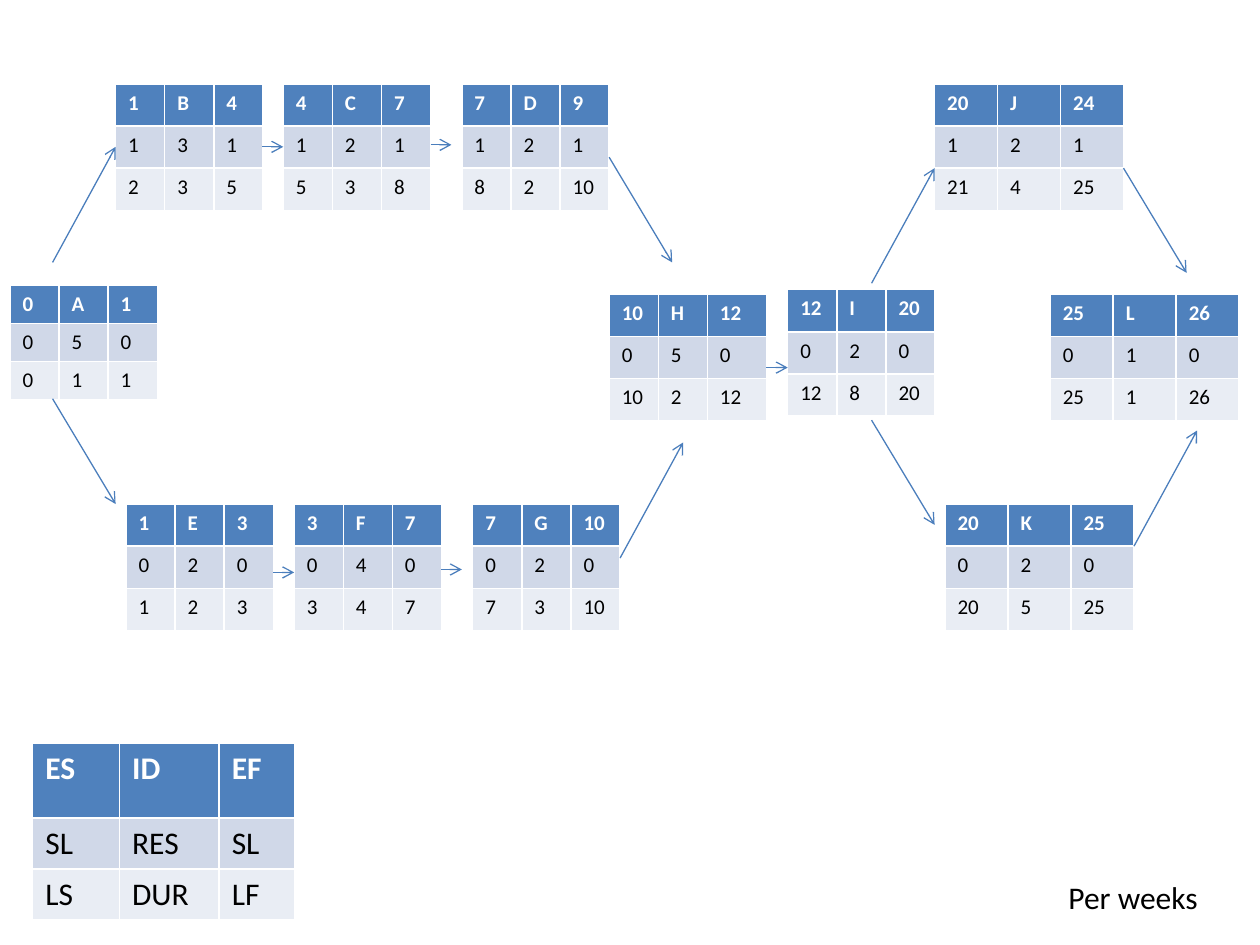
import pptx
import pptx.dml.color
import pptx.enum.shapes
import pptx.enum.text
import pptx.oxml.ns
import pptx.util
from lxml import etree

Cm = pptx.util.Cm
Pt = pptx.util.Pt
RGBColor = pptx.dml.color.RGBColor

WHITE = RGBColor(0xFF, 0xFF, 0xFF)
BLACK = RGBColor(0x00, 0x00, 0x00)
HEADER = RGBColor(0x4F, 0x81, 0xBD)
BAND = RGBColor(0xD0, 0xD8, 0xE8)
PALE = RGBColor(0xE9, 0xED, 0xF4)
ARROW = RGBColor(0x4B, 0x7E, 0xBC)
ROW_FILLS = [HEADER, BAND, PALE]

NARROW = [0.99, 0.99, 0.99]
MIXED = [0.99, 0.99, 1.19]
WIDE = [1.27, 1.27, 1.27]
LEGEND = [1.75, 2.01, 1.52]
LOW_ROWS = [0.76, 0.76, 0.76]
ROWS = [0.85, 0.85, 0.85]
LEGEND_ROWS = [1.5, 1.02, 1.02]
TOP, MIDDLE, BOTTOM = 1.69, 5.93, 10.16

activities = [
    (0.2, 5.75, NARROW, LOW_ROWS, 12, ["0 A 1", "0 5 0", "0 1 1"]),
    (2.33, TOP, NARROW, ROWS, 12, ["1 B 4", "1 3 1", "2 3 5"]),
    (2.54, BOTTOM, NARROW, ROWS, 12, ["1 E 3", "0 2 0", "1 2 3"]),
    (5.71, TOP, NARROW, ROWS, 12, ["4 C 7", "1 2 1", "5 3 8"]),
    (5.93, BOTTOM, NARROW, ROWS, 12, ["3 F 7", "0 4 0", "3 4 7"]),
    (9.31, TOP, NARROW, ROWS, 12, ["7 D 9", "1 2 1", "8 2 10"]),
    (9.53, BOTTOM, NARROW, ROWS, 12, ["7 G 10", "0 2 0", "7 3 10"]),
    (12.28, MIDDLE, MIXED, ROWS, 12, ["10 H 12", "0 5 0", "10 2 12"]),
    (15.88, 5.84, NARROW, ROWS, 12, ["12 I 20", "0 2 0", "12 8 20"]),
    (18.84, TOP, WIDE, ROWS, 12, ["20 J 24", "1 2 1", "21 4 25"]),
    (19.05, BOTTOM, WIDE, ROWS, 12, ["20 K 25", "0 2 0", "20 5 25"]),
    (21.17, MIDDLE, WIDE, ROWS, 12, ["25 L 26", "0 1 0", "25 1 26"]),
    (0.66, 14.99, LEGEND, LEGEND_ROWS, 18, ["ES ID EF", "SL RES SL", "LS DUR LF"]),
]

arrows = [
    (1.06, 5.29, 2.33, 2.96),
    (1.06, 8.04, 2.33, 10.16),
    (17.57, 5.71, 18.84, 3.39),
    (17.57, 8.47, 18.84, 10.58),
    (22.86, 11.01, 24.13, 8.68),
    (22.65, 3.39, 23.92, 5.5),
    (15.45, 7.41, 15.88, 7.41),
    (12.5, 11.25, 13.77, 8.92),
    (12.28, 3.17, 13.55, 5.29),
    (8.89, 11.48, 9.31, 11.48),
    (5.51, 11.54, 5.93, 11.54),
    (8.68, 2.92, 9.1, 2.92),
    (5.29, 2.96, 5.71, 2.96),
]


def style_font(font, size, color, bold=False):
    font.name = "Calibri"
    font.size = Pt(size)
    font.bold = bold
    font.color.rgb = color


deck = pptx.Presentation()
deck.slide_width = Cm(25.4)
deck.slide_height = Cm(19.05)
page = deck.slides.add_slide(deck.slide_layouts[6])

for left, top, widths, heights, size, lines in activities:
    frame = page.shapes.add_table(
        3, 3, Cm(left), Cm(top), Cm(sum(widths)), Cm(sum(heights)))
    table = frame.table
    for column, width in zip(table.columns, widths):
        column.width = Cm(width)
    for row, height, line, fill in zip(table.rows, heights, lines, ROW_FILLS):
        row.height = Cm(height)
        is_header = fill == HEADER
        for cell, value in zip(row.cells, line.split()):
            cell.fill.solid()
            cell.fill.fore_color.rgb = fill
            cell.text = value
            para = cell.text_frame.paragraphs[0]
            style_font(para.font, size, WHITE if is_header else BLACK, is_header)

for start_x, start_y, end_x, end_y in arrows:
    arrow = page.shapes.add_connector(
        pptx.enum.shapes.MSO_CONNECTOR.STRAIGHT,
        Cm(start_x), Cm(start_y), Cm(end_x), Cm(end_y))
    arrow.line.color.rgb = ARROW
    arrow.line.width = Pt(0.75)
    etree.SubElement(
        arrow.line._get_or_add_ln(), pptx.oxml.ns.qn("a:tailEnd"), type="arrow")
    etree.SubElement(arrow._element.spPr, pptx.oxml.ns.qn("a:effectLst"))

unit_box = page.shapes.add_textbox(Cm(21.29), Cm(17.58), Cm(3.15), Cm(1.02))
unit_box.text_frame.word_wrap = False
unit_box.text_frame.auto_size = pptx.enum.text.MSO_AUTO_SIZE.SHAPE_TO_FIT_TEXT
unit_box.text_frame.text = "Per weeks"
style_font(unit_box.text_frame.paragraphs[0].font, 18, BLACK)

deck.save("out.pptx")
